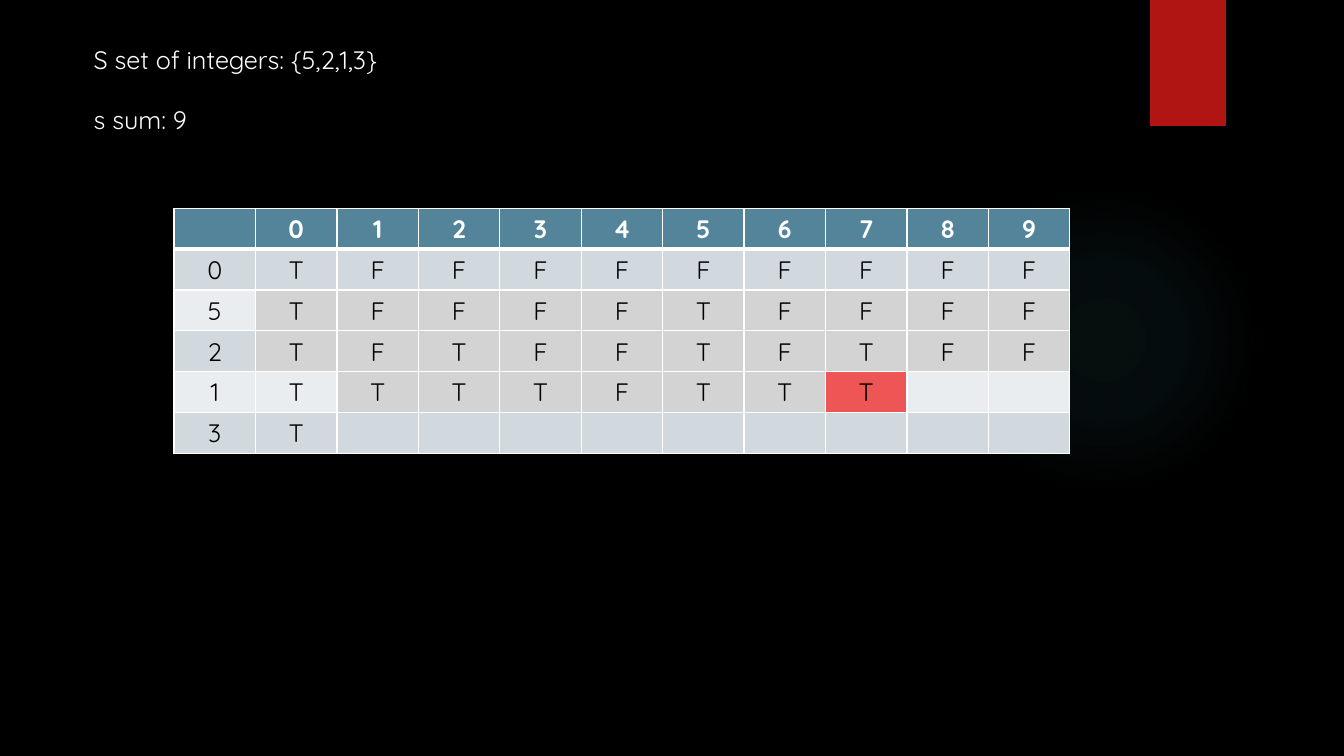
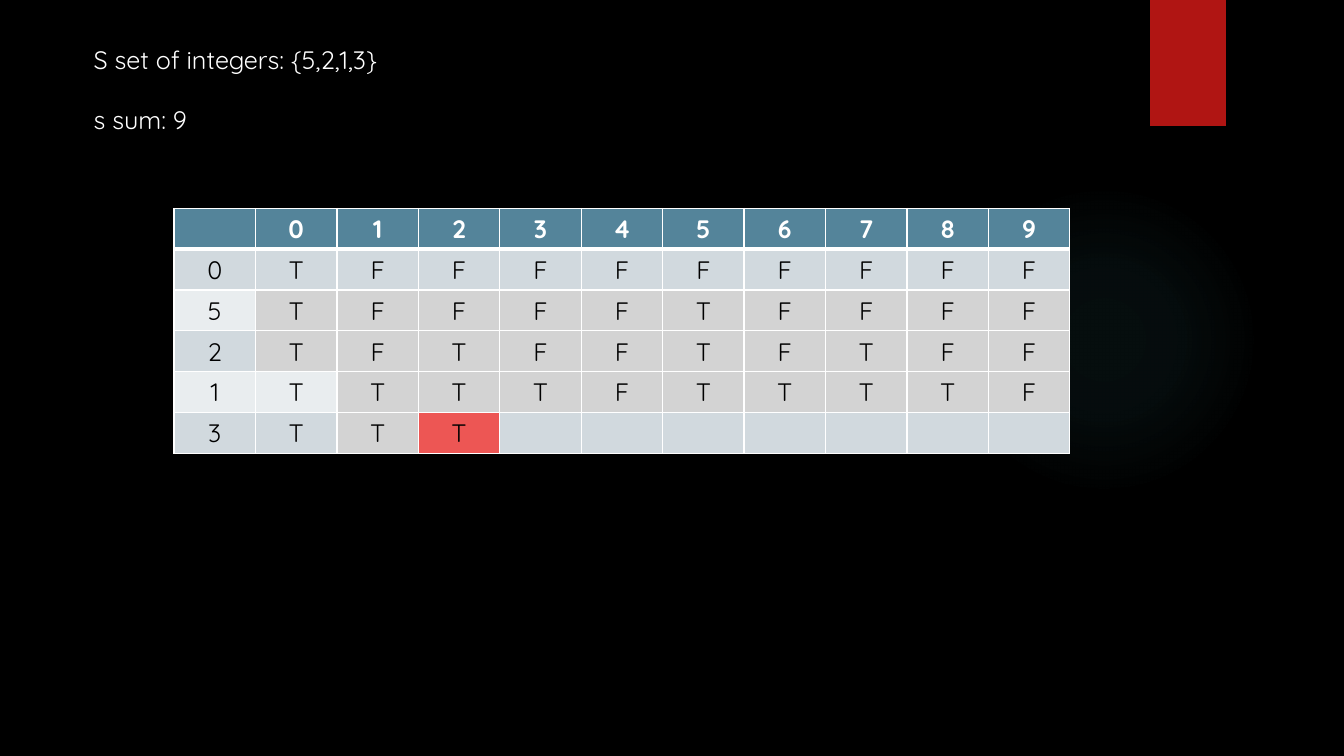
from lxml import etree
from pptx import Presentation, util as u
from pptx.dml import color
from pptx.enum import shapes, text
from pptx.oxml import ns

HEADER, BANDS = "54849A", ("D1D9DE", "E9EDEF")
VISITED, CURRENT = "D3D3D3", "ED5654"
GLOW, RIBBON = "50B9C1", "B01513"
WHITE, BLACK = "FFFFFF", "000000"

LINES = ["S set of integers: {5,2,1,3}", "s sum: 9"]
SUMS = "0123456789"
SOLVED = [("0", "TFFFFFFFFF"), ("5", "TFFFFTFFFF"), ("2", "TFTFFTFTFF")]
STEPS = [
    SOLVED + [("1", "TTTTFTTT"), ("3", "T")],
    SOLVED + [("1", "TTTTFTTTTF"), ("3", "TTT")],
]
FIRST_VISITED = [10, 0, 0, 1, 1]


def rgb(value):
    """Turn a hex string into a colour."""
    return color.RGBColor.from_string(value)


class Deck:
    """Hold the shared style and the current slide; places are percentages."""

    font = {"name": "Quicksand", "size": u.Pt(18)}

    def __init__(self):
        """Open a widescreen presentation with a black master."""
        self.presentation = Presentation()
        self.presentation.slide_width = u.Inches(40 / 3)
        self.presentation.slide_height = u.Inches(7.5)
        self.paint(self.presentation.slide_master.background, BLACK)

    def paint(self, target, fill):
        """Give an object a solid fill."""
        target.fill.solid()
        target.fill.fore_color.rgb = rgb(fill)

    def place(self, left, top, width, height):
        """Turn percentages of the slide into lengths."""
        across, down = self.presentation.slide_width, self.presentation.slide_height
        return [int(share * size / 100) for share, size in
                zip((left, top, width, height), (across, down, across, down))]

    def add_slide(self):
        """Start a slide with its glow and ribbon."""
        self.slide = self.presentation.slides.add_slide(self.presentation.slide_layouts[6])
        self.glow(70.58, 24.4, 23.1, 41.07)
        self.block(shapes.MSO_SHAPE.RECTANGLE, RIBBON, 85.58, 0, 5.63, 16.67)

    def block(self, kind, fill, *area):
        """Add a plain filled shape."""
        shape = self.slide.shapes.add_shape(kind, *self.place(*area))
        shape.shadow.inherit = False
        shape.line.fill.background()
        self.paint(shape, fill)
        return shape

    def glow(self, *area):
        """Add a circle that fades out from its centre."""
        shape = self.block(shapes.MSO_SHAPE.OVAL, GLOW, *area)
        solid = shape._element.spPr.find(ns.qn("a:solidFill"))
        gradient = etree.Element(ns.qn("a:gradFill"), rotWithShape="1")
        stops = etree.SubElement(gradient, ns.qn("a:gsLst"))
        for position, alpha in ((0, 7), (36, 6), (69, 0)):
            stop = etree.SubElement(stops, ns.qn("a:gs"), pos=str(position * 1000))
            tint = etree.SubElement(stop, ns.qn("a:srgbClr"), val=GLOW)
            etree.SubElement(tint, ns.qn("a:alpha"), val=str(alpha * 1000))
        fade = etree.SubElement(gradient, ns.qn("a:path"), path="circle")
        etree.SubElement(fade, ns.qn("a:fillToRect"),
                         {side: "50000" for side in "ltrb"})
        solid.getparent().replace(solid, gradient)

    def add_words(self, paragraph, words, ink, **extra):
        """Fill a paragraph in the shared font."""
        run = paragraph.add_run()
        run.text = words
        for name, value in {**self.font, **extra}.items():
            setattr(run.font, name, value)
        run.font.color.rgb = rgb(ink)

    def text(self, lines, *area):
        """Add a text box with one paragraph per line."""
        frame = self.slide.shapes.add_textbox(*self.place(*area)).text_frame
        frame.word_wrap = False
        for index, line in enumerate(lines):
            paragraph = frame.add_paragraph() if index else frame.paragraphs[0]
            if index:
                paragraph.space_before = u.Pt(21)
            self.add_words(paragraph, line, WHITE)

    def cell(self, cell, words, fill, is_header):
        """Format one table cell."""
        properties = cell._tc.get_or_add_tcPr()
        for side in "LRTB":
            weight = 3 if is_header and side == "B" else 1
            line = etree.SubElement(properties, ns.qn("a:ln" + side), w=str(int(u.Pt(weight))))
            solid = etree.SubElement(line, ns.qn("a:solidFill"))
            etree.SubElement(solid, ns.qn("a:srgbClr"), val=WHITE)
        self.paint(cell, fill)
        paragraph = cell.text_frame.paragraphs[0]
        paragraph.alignment = text.PP_ALIGN.CENTER
        if words:
            self.add_words(paragraph, words, WHITE if is_header else BLACK, bold=is_header)

    def table(self, steps, *area):
        """Add the truth table, marking visited cells and the current one."""
        rows, columns = len(steps) + 1, len(SUMS) + 1
        table = self.slide.shapes.add_table(rows, columns, *self.place(*area)).table
        table.horz_banding = False
        current = max((row, len(values) - 1) for row, (_, values) in enumerate(steps)
                      if len(values) > 1)
        for column, words in enumerate(["", *SUMS]):
            self.cell(table.cell(0, column), words, HEADER, True)
        for row, (label, values) in enumerate(steps):
            self.cell(table.cell(row + 1, 0), label, BANDS[row % 2], False)
            for column, words in enumerate(values.ljust(len(SUMS))):
                fill = BANDS[row % 2]
                if (row, column) == current:
                    fill = CURRENT
                elif FIRST_VISITED[row] <= column < len(values):
                    fill = VISITED
                self.cell(table.cell(row + 1, column + 1), words.strip(), fill, False)


def main():
    """Build one slide per step of the table."""
    deck = Deck()
    for steps in STEPS:
        deck.add_slide()
        deck.text(LINES, 6.23, 5.2, 23.93, 13.47)
        deck.table(steps, 12.95, 27.56, 66.67, 32.44)
    deck.presentation.save("out.pptx")


if __name__ == "__main__":
    main()
